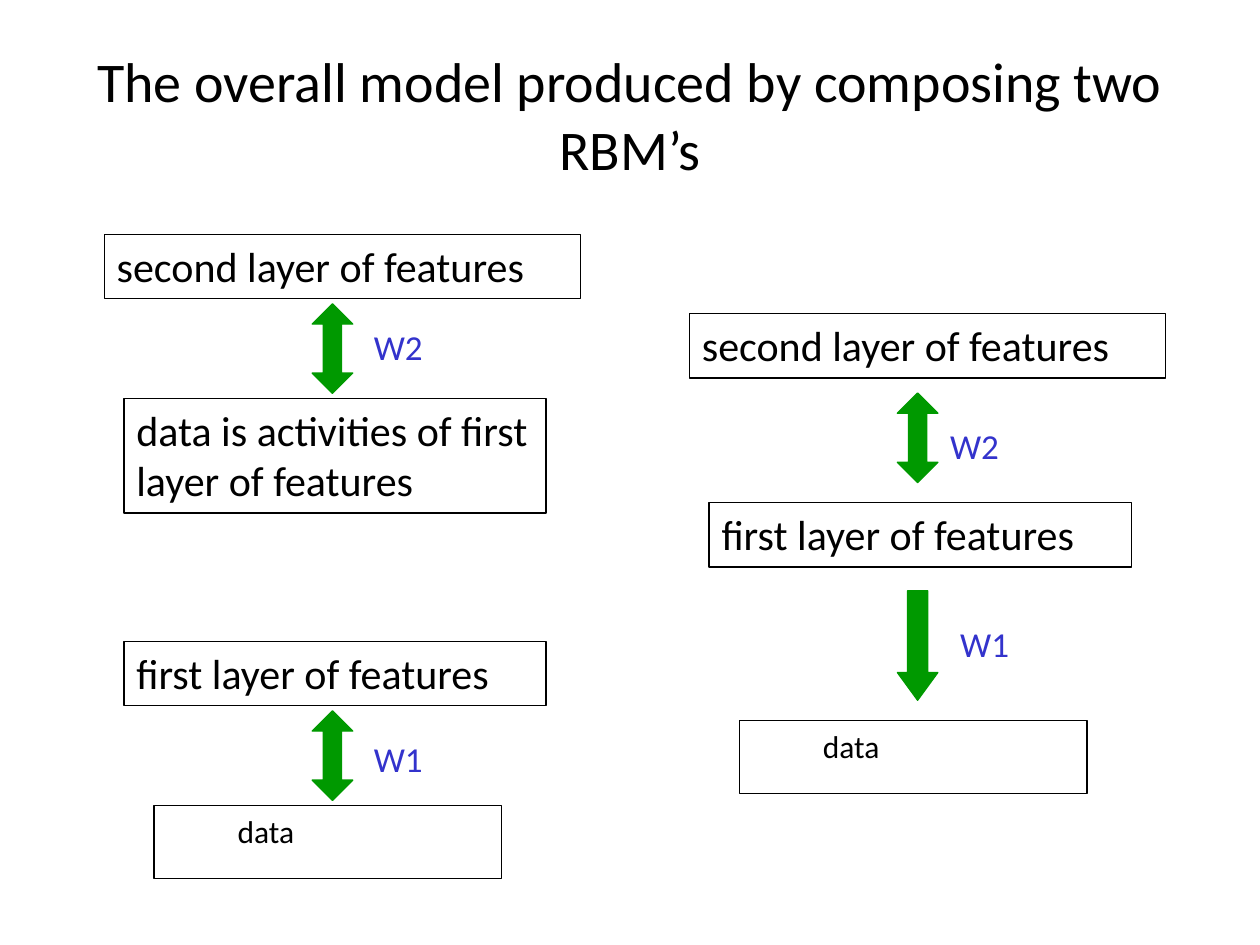
from dataclasses import dataclass

from pptx import Presentation
from pptx.dml.color import RGBColor
from pptx.enum.shapes import MSO_SHAPE
from pptx.enum.text import MSO_ANCHOR, PP_ALIGN
from pptx.util import Pt


@dataclass(frozen=True)
class Theme:
    font: str = "Calibri"
    ink: RGBColor = RGBColor(0x00, 0x00, 0x00)
    arrow: RGBColor = RGBColor(0x00, 0x99, 0x00)
    weight: RGBColor = RGBColor(0x33, 0x33, 0xCC)
    title_size: int = 32
    layer_size: int = 24
    weight_size: int = 20
    data_size: int = 18
    line_width: float = 0.75


THEME = Theme()

# Each kind of layer: offset from the column's left edge, and width
SECOND, FIRST, DATA = (0, 272), (11.2, 241.2), (28.4, 198.8)
LAYER_HEIGHT, DATA_HEIGHT = 36.8, 41.8
ARROW_OFFSET, ARROW_WIDTH, ARROW_HEIGHT = 118.8, 23.2, 51.2


def style_text(shape, text, size, color, align=PP_ALIGN.LEFT, anchor=MSO_ANCHOR.TOP):
    frame = shape.text_frame
    frame.word_wrap = True
    frame.vertical_anchor = anchor
    frame.text = text
    paragraph = frame.paragraphs[0]
    paragraph.alignment = align
    paragraph.font.name = THEME.font
    paragraph.font.size = Pt(size)
    paragraph.font.color.rgb = color


def add_layer(slide, column_left, top, kind, text, height=LAYER_HEIGHT):
    offset, width = kind
    shape = slide.shapes.add_shape(
        MSO_SHAPE.RECTANGLE, Pt(column_left + offset), Pt(top), Pt(width), Pt(height))
    shape.shadow.inherit = False
    shape.fill.background()
    shape.line.color.rgb = THEME.ink
    shape.line.width = Pt(THEME.line_width)
    size = THEME.data_size if kind == DATA else THEME.layer_size
    style_text(shape, text, size, THEME.ink)
    if kind == DATA:
        shape.text_frame.margin_left = Pt(47.8)


def add_arrow(slide, column_left, top, preset=MSO_SHAPE.UP_DOWN_ARROW,
              height=ARROW_HEIGHT, head=0.448):
    arrow = slide.shapes.add_shape(
        preset, Pt(column_left + ARROW_OFFSET), Pt(top), Pt(ARROW_WIDTH), Pt(height))
    arrow.adjustments[0] = 0.5
    arrow.adjustments[1] = head
    arrow.shadow.inherit = False
    arrow.fill.solid()
    arrow.fill.fore_color.rgb = THEME.arrow
    arrow.line.color.rgb = THEME.arrow
    arrow.line.width = Pt(THEME.line_width)


def add_weight(slide, left, top, text):
    label = slide.shapes.add_textbox(Pt(left), Pt(top), Pt(57), Pt(31))
    style_text(label, text, THEME.weight_size, THEME.weight)


def add_title(slide, left, top, width, height):
    title = slide.shapes.title
    title.left, title.top, title.width, title.height = map(Pt, (left, top, width, height))
    style_text(title, "The overall model produced by composing two RBM’s",
               THEME.title_size, THEME.ink, PP_ALIGN.CENTER, MSO_ANCHOR.MIDDLE)


def add_separate_rbms(slide, left, top):
    """Two RBMs, each with its hidden layer above its data."""
    machines = [
        (0, SECOND, "second layer of features", "W2", 48.2,
         FIRST, "data is activities of first layer of features", 65.6),
        (232.6, FIRST, "first layer of features", "W1", 51.2,
         DATA, "data", DATA_HEIGHT),
    ]
    for offset, hidden, hidden_text, weight, weight_drop, visible, visible_text, height in machines:
        y = top + offset
        add_layer(slide, left, y, hidden, hidden_text)
        add_arrow(slide, left, y + 39.6)
        add_weight(slide, left + 146.9, y + weight_drop, weight)
        add_layer(slide, left, y + 93.6, visible, visible_text, height)


def add_composed_model(slide, left, top):
    """The stacked model: undirected on top, directed below."""
    add_layer(slide, left, top, SECOND, "second layer of features")
    add_arrow(slide, left, top + 45.4)
    add_weight(slide, left + 141.8, top + 59.8, "W2")
    add_layer(slide, left, top + 108, FIRST, "first layer of features")
    add_arrow(slide, left, top + 158.4, MSO_SHAPE.DOWN_ARROW, 62.6, 0.685)
    add_weight(slide, left + 147.6, top + 172.8, "W1")
    add_layer(slide, left, top + 232.6, DATA, "data", DATA_HEIGHT)


def main():
    presentation = Presentation()
    presentation.slide_width, presentation.slide_height = Pt(720), Pt(540)
    slide = presentation.slides.add_slide(presentation.slide_layouts[5])
    add_title(slide, 36, 20.2, 648, 90)
    add_separate_rbms(slide, 59.6, 134)
    add_composed_model(slide, 394, 179.2)
    presentation.save("out.pptx")


if __name__ == "__main__":
    main()
